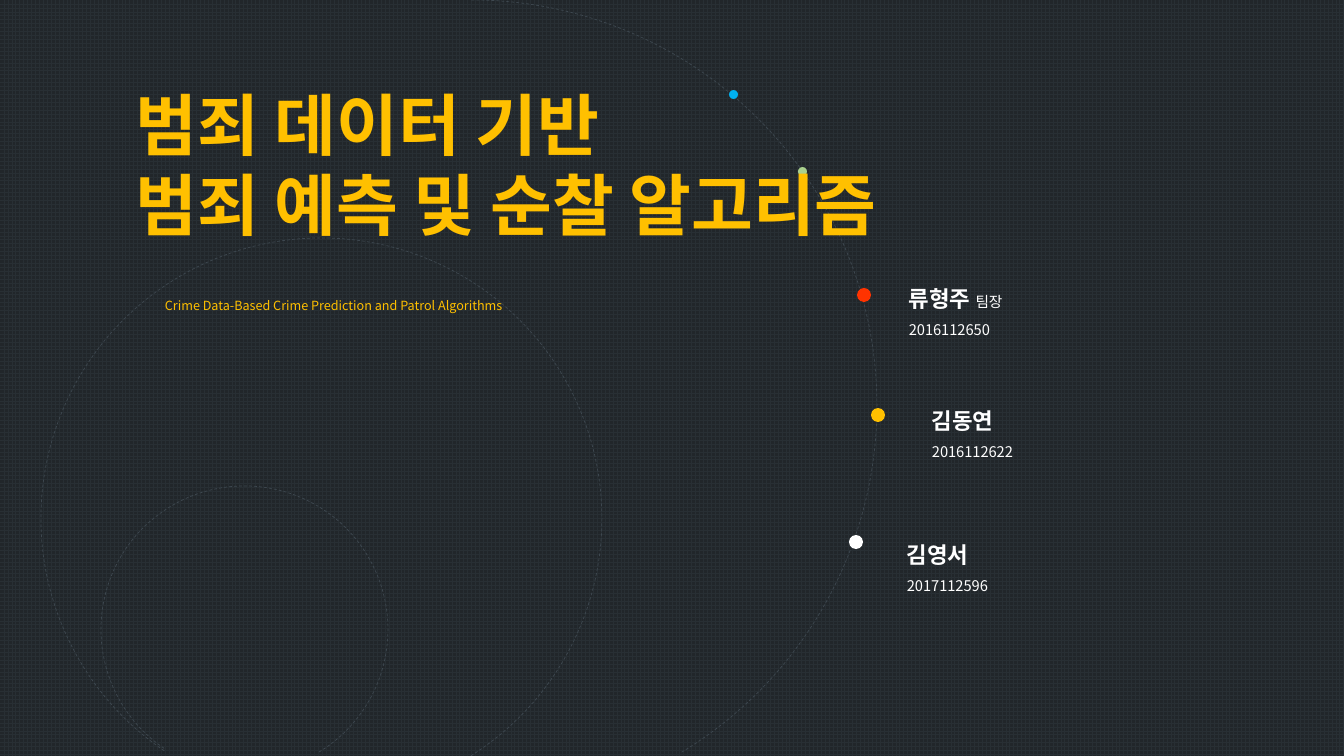
import dataclasses

import lxml.etree
import pptx
import pptx.dml.color
import pptx.enum.dml
import pptx.enum.shapes
import pptx.enum.text
import pptx.oxml.ns
import pptx.util

EMU_PER_PX = 914400 / 100.8


def px(length):
    return pptx.util.Emu(round(length * EMU_PER_PX))


def rgb(value):
    return pptx.dml.color.RGBColor.from_string(value)


@dataclasses.dataclass(frozen=True)
class Theme:
    font: str = "Noto Sans CJK KR"
    grid: str = "282F34"
    ground: str = "21262A"
    orbit: str = "3E4850"
    gold: str = "FFC000"
    white: str = "FFFFFF"
    red: str = "FF3300"
    green: str = "A9D18E"
    blue: str = "00B0F0"
    title: float = 48
    subtitle: float = 9
    name: float = 16
    detail: float = 10.5
    orbit_width: float = 0.5


class Cover:
    def __init__(self, slide, theme):
        self.slide = slide
        self.theme = theme

    def background(self):
        fill = self.slide.background.fill
        fill.patterned()
        fill.pattern = pptx.enum.dml.MSO_PATTERN.LARGE_GRID
        fill.fore_color.rgb = rgb(self.theme.grid)
        fill.back_color.rgb = rgb(self.theme.ground)

    def round_shape(self, preset, left, top, size):
        shape = self.slide.shapes.add_shape(
            preset, px(left), px(top), px(size), px(size))
        shape.shadow.inherit = False
        return shape

    def orbit(self, left, top, size, start, end):
        arc = self.round_shape(
            pptx.enum.shapes.MSO_SHAPE.ARC, left, top, size)
        arc.adjustments[0], arc.adjustments[1] = start, end
        arc.fill.background()
        arc.line.color.rgb = rgb(self.theme.orbit)
        arc.line.width = pptx.util.Pt(self.theme.orbit_width)
        arc.line.dash_style = pptx.enum.dml.MSO_LINE.DASH

    def dot(self, left, top, size, color):
        dot = self.round_shape(
            pptx.enum.shapes.MSO_SHAPE.OVAL, left, top, size)
        dot.fill.solid()
        dot.fill.fore_color.rgb = rgb(color)
        dot.line.fill.background()

    def text(self, left, top, width, height, color, lines, spacing):
        frame = self.slide.shapes.add_textbox(
            px(left), px(top), px(width), px(height)).text_frame
        frame.word_wrap = True
        frame.auto_size = pptx.enum.text.MSO_AUTO_SIZE.SHAPE_TO_FIT_TEXT
        for number, line in enumerate(lines):
            paragraph = frame.add_paragraph() if number else frame.paragraphs[0]
            paragraph.line_spacing = spacing
            for words, size, bold in line:
                self.run(paragraph, words, size, bold, color)
        return frame

    def run(self, paragraph, words, size, bold, color):
        run = paragraph.add_run()
        run.text = words
        formats = {"size": pptx.util.Pt(size), "bold": bold,
                   "name": self.theme.font}
        for attribute, value in formats.items():
            setattr(run.font, attribute, value)
        run.font.color.rgb = rgb(color)
        lxml.etree.SubElement(
            run._r.get_or_add_rPr(), pptx.oxml.ns.qn("a:ea"),
            typeface=self.theme.font)

    def heading(self, left, top, width, height, titles, subtitle):
        lines = [[(title, self.theme.title, True)] for title in titles]
        lines.append([(subtitle, self.theme.subtitle, False)])
        frame = self.text(left, top, width, height, self.theme.gold, lines, 1.0)
        english = frame.paragraphs[-1]
        english.space_before = pptx.util.Pt(38)
        english._p.get_or_add_pPr().set("marL", str(px(29)))

    def member(self, left, top, width, height, name, role, student_id):
        name_line = [(name, self.theme.name, True)]
        if role:
            name_line.append((role, self.theme.detail, False))
        id_line = [(student_id, self.theme.detail, False)]
        self.text(left, top, width, height, self.theme.white,
                  [name_line, id_line], 1.5)


def main():
    theme = Theme()
    deck = pptx.Presentation()
    deck.slide_width, deck.slide_height = px(1344), px(756)
    cover = Cover(deck.slides.add_slide(deck.slide_layouts[6]), theme)
    cover.background()

    for orbit in (
        (41, 238, 561, 74.44, 35.32),
        (66, 0, 811, 162, 35.32),
        (101, 486, 287, 74.44, 35.32),
    ):
        cover.orbit(*orbit)

    for dot in (
        (871, 408, 14, theme.gold),
        (849, 535, 14, theme.white),
        (857, 288, 14, theme.red),
        (798, 167, 9, theme.green),
        (729, 90, 9, theme.blue),
    ):
        cover.dot(*dot)

    cover.heading(126, 78, 862, 188,
                  ("범죄 데이터 기반", "범죄 예측 및 순찰 알고리즘"),
                  "Crime Data-Based Crime Prediction and Patrol Algorithms")

    for member in (
        (899, 267, 322, 76, "류형주 ", "팀장", "2016112650"),
        (922, 389, 298, 75, "김동연", "", "2016112622"),
        (897, 523, 302, 75, "김영서", "", "2017112596"),
    ):
        cover.member(*member)

    deck.save("out.pptx")


if __name__ == "__main__":
    main()
